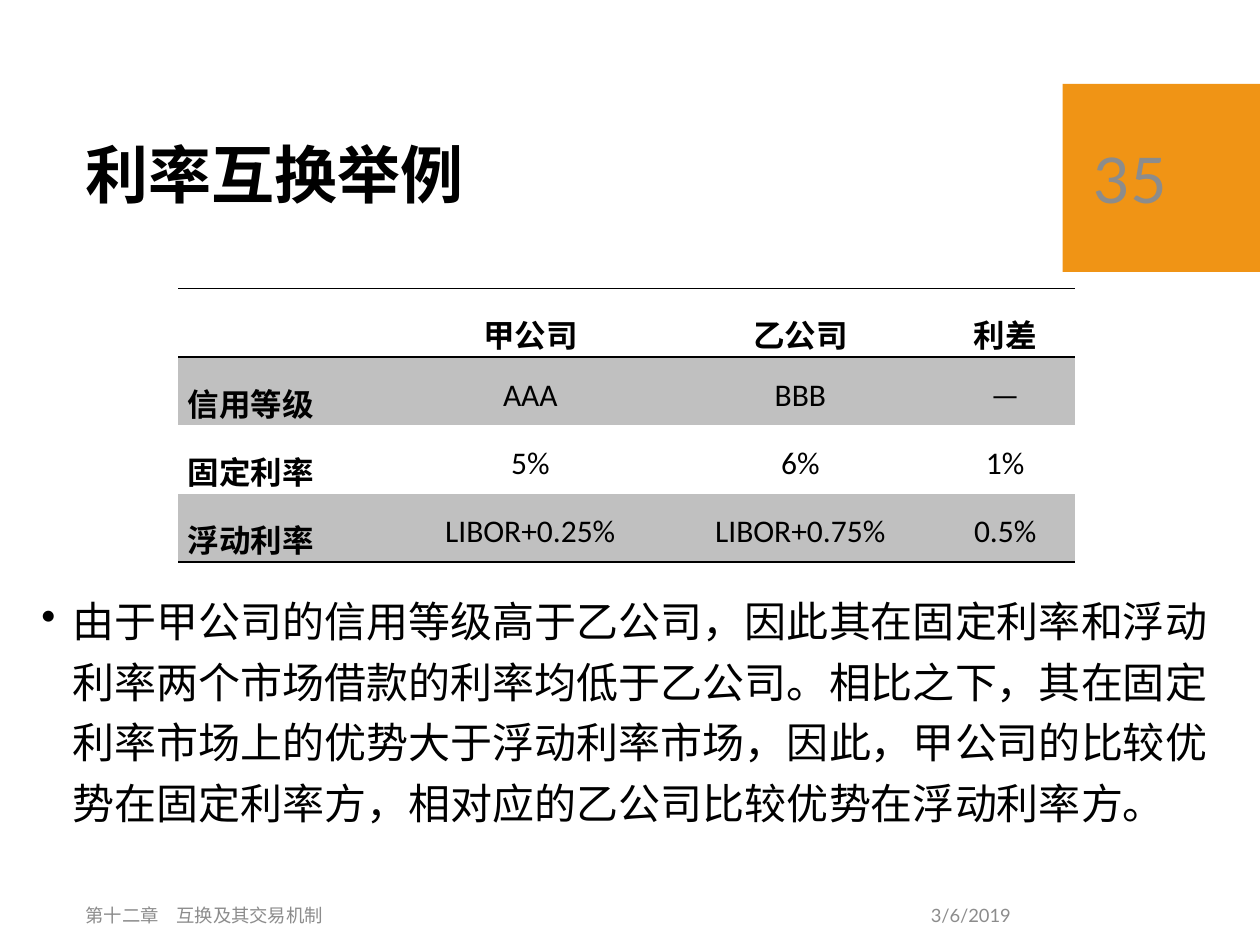
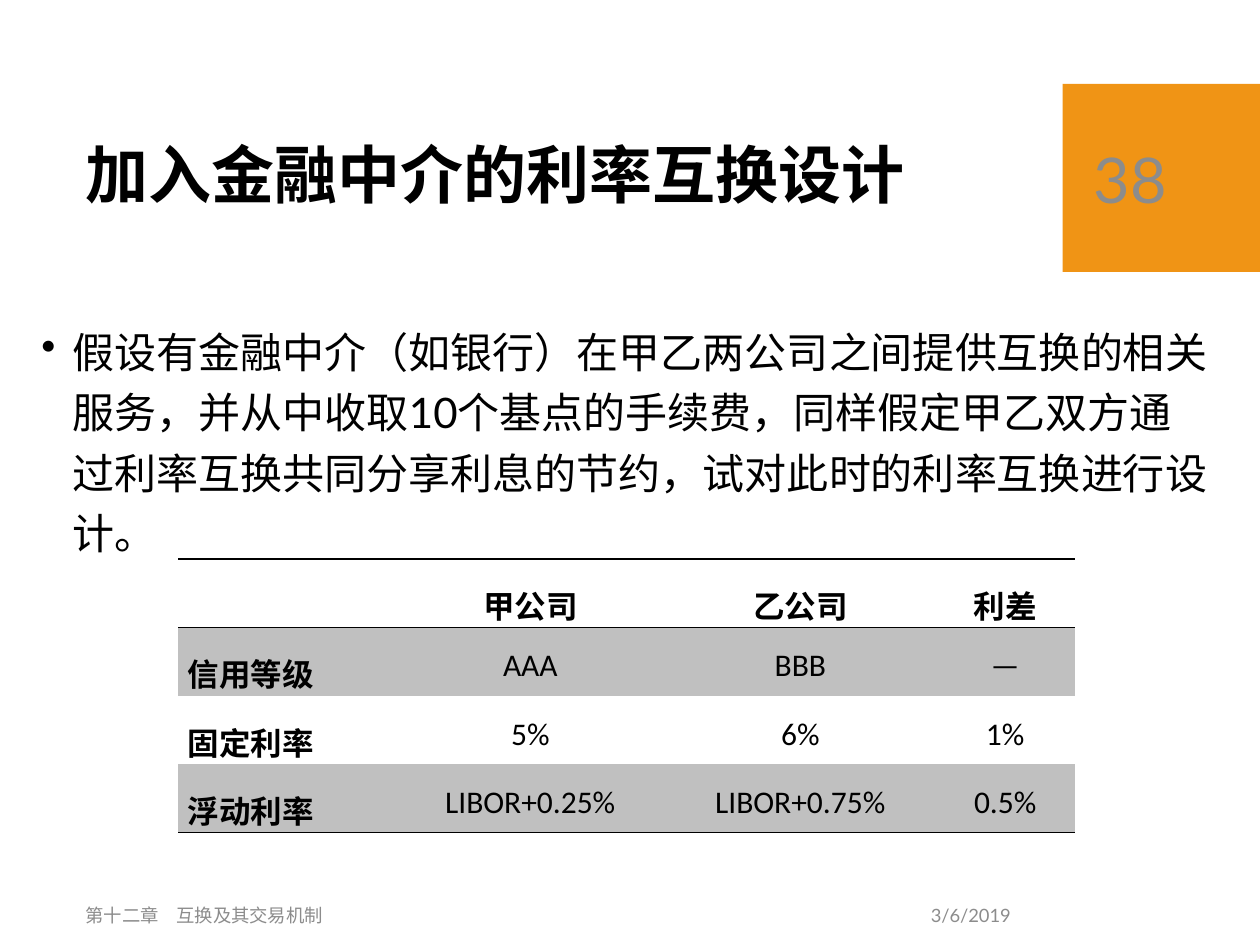
from lxml.etree import SubElement
from pptx import Presentation
from pptx.dml.color import RGBColor
from pptx.enum.shapes import MSO_SHAPE
from pptx.enum.text import MSO_ANCHOR as Anchor, PP_ALIGN as Align
from pptx.oxml.ns import qn
from pptx.util import Pt

ORANGE = RGBColor(0xF0, 0x94, 0x15)
BLACK = RGBColor(0, 0, 0)
WHITE = RGBColor(0xFF, 0xFF, 0xFF)
GREY = RGBColor(0x8C, 0x8C, 0x8C)
BAND = RGBColor(0xC0, 0xC0, 0xC0)
HEADING_FONT, TABLE_FONT = "Lato", "Calibri"

# Boxes: left, top, width, height in points
TITLE_BOX = (41.8, 59, 543, 85)
BADGE_BOX = (607.2, 48, 112.8, 107.5)
FOOTER_BOX = (41.8, 508.3, 542.9, 28.8)

CHAPTER, DATE = "第十二章　互换及其交易机制", "3/6/2019"
RATES = [
    ["", "甲公司", "乙公司", "利差"],
    ["信用等级", "AAA", "BBB", "—"],
    ["固定利率", "5%", "6%", "1%"],
    ["浮动利率", "LIBOR+0.25%", "LIBOR+0.75%", "0.5%"],
]
COLUMN_WIDTHS = (124, 154.3, 154.3, 79.9)
ROW_HEIGHT = 39.1


def style(paragraph, size, color, bold=False, align=Align.LEFT, font=HEADING_FONT):
    paragraph.alignment = align
    paragraph.font.name = font
    paragraph.font.size = Pt(size)
    paragraph.font.bold = bold
    paragraph.font.color.rgb = color


def add_text(slide, box, text, size, color, anchor=Anchor.MIDDLE, **look):
    frame = slide.shapes.add_textbox(*map(Pt, box)).text_frame
    frame.word_wrap = True
    frame.vertical_anchor = anchor
    paragraph = frame.paragraphs[0]
    paragraph.text = text
    style(paragraph, size, color, **look)
    return paragraph


def add_badge(slide, box, number):
    left, top, width, height = box
    badge = slide.shapes.add_shape(MSO_SHAPE.RECTANGLE, *map(Pt, box))
    badge.shadow.inherit = False
    badge.fill.solid()
    badge.fill.fore_color.rgb = ORANGE
    badge.line.fill.background()
    add_text(slide, (left + 10.8, top + 11, width - 21.4, height - 21.8),
             number, 36, GREY)


def add_footer(slide, box):
    left, top, width, height = box
    date_width = 162
    chapter_width = width - date_width
    add_text(slide, (left, top, chapter_width, height), CHAPTER, 10.5, GREY)
    add_text(slide, (left + chapter_width, top, date_width, height),
             DATE, 10.5, GREY, align=Align.RIGHT)


def add_bullet(slide, box, text):
    bullet = add_text(slide, box, text, 24, BLACK, anchor=Anchor.TOP)
    bullet.line_spacing = 1.2
    bullet.space_before = Pt(10)
    props = bullet._p.get_or_add_pPr()
    props.set("marL", str(Pt(18)))
    props.set("indent", str(-Pt(18)))
    mark = props.makeelement(qn("a:buChar"), {"char": "•"})
    props.find(qn("a:defRPr")).addprevious(mark)


def set_borders(cell, ruled_sides):
    """Rule the given sides (L, R, T, B) in black and clear the others."""
    props = cell._tc.get_or_add_tcPr()
    for side in "LRTB":
        line = SubElement(props, qn(f"a:ln{side}"), w=str(Pt(1)))
        if side in ruled_sides:
            fill = SubElement(line, qn("a:solidFill"))
            SubElement(fill, qn("a:srgbClr"), val=str(BLACK))
        else:
            SubElement(line, qn("a:noFill"))


def add_rate_table(slide, left, top):
    table = slide.shapes.add_table(
        len(RATES), len(COLUMN_WIDTHS), Pt(left), Pt(top),
        Pt(sum(COLUMN_WIDTHS)), Pt(ROW_HEIGHT * len(RATES))).table
    for column, width in zip(table.columns, COLUMN_WIDTHS):
        column.width = Pt(width)
    # Rules above and below the header and under the last row
    rules = {0: "TB", 1: "T", len(RATES) - 1: "B"}
    for r, row in enumerate(RATES):
        table.rows[r].height = Pt(ROW_HEIGHT)
        for c, value in enumerate(row):
            cell = table.cell(r, c)
            cell.margin_left = cell.margin_right = Pt(5.4)
            cell.margin_top = cell.margin_bottom = 0
            set_borders(cell, rules.get(r, ""))
            cell.fill.solid()
            cell.fill.fore_color.rgb = BAND if r % 2 else WHITE
            entry = cell.text_frame.paragraphs[0]
            entry.text = value
            entry.line_spacing = 1.5
            style(entry, 18, BLACK, bold=r == 0 or c == 0,
                  align=Align.CENTER if c else Align.JUSTIFY, font=TABLE_FONT)


def add_rate_slide(deck, number, title, text, text_box, table_top):
    slide = deck.slides.add_slide(deck.slide_layouts[6])
    add_badge(slide, BADGE_BOX, number)
    heading = add_text(slide, TITLE_BOX, title, 36, BLACK, bold=True)
    heading.line_spacing = 0.9
    add_bullet(slide, text_box, text)
    add_rate_table(slide, 101.9, table_top)
    add_footer(slide, FOOTER_BOX)


def main():
    deck = Presentation()
    deck.slide_width, deck.slide_height = Pt(720), Pt(540)
    add_rate_slide(
        deck, "35", "利率互换举例",
        "由于甲公司的信用等级高于乙公司，因此其在固定利率和浮动利率两个市场借款的利率均低于乙公司。"
        "相比之下，其在固定利率市场上的优势大于浮动利率市场，因此，甲公司的比较优势在固定利率方，"
        "相对应的乙公司比较优势在浮动利率方。",
        (16.6, 331.2, 683.3, 169.2), 164.8)
    add_rate_slide(
        deck, "38", "加入金融中介的利率互换设计",
        "假设有金融中介（如银行）在甲乙两公司之间提供互换的相关服务，并从中收取10个基点的手续费，"
        "同样假定甲乙双方通过利率互换共同分享利息的节约，试对此时的利率互换进行设计。",
        (16.6, 177.1, 683.3, 324), 319.5)
    deck.save("out.pptx")


if __name__ == "__main__":
    main()
